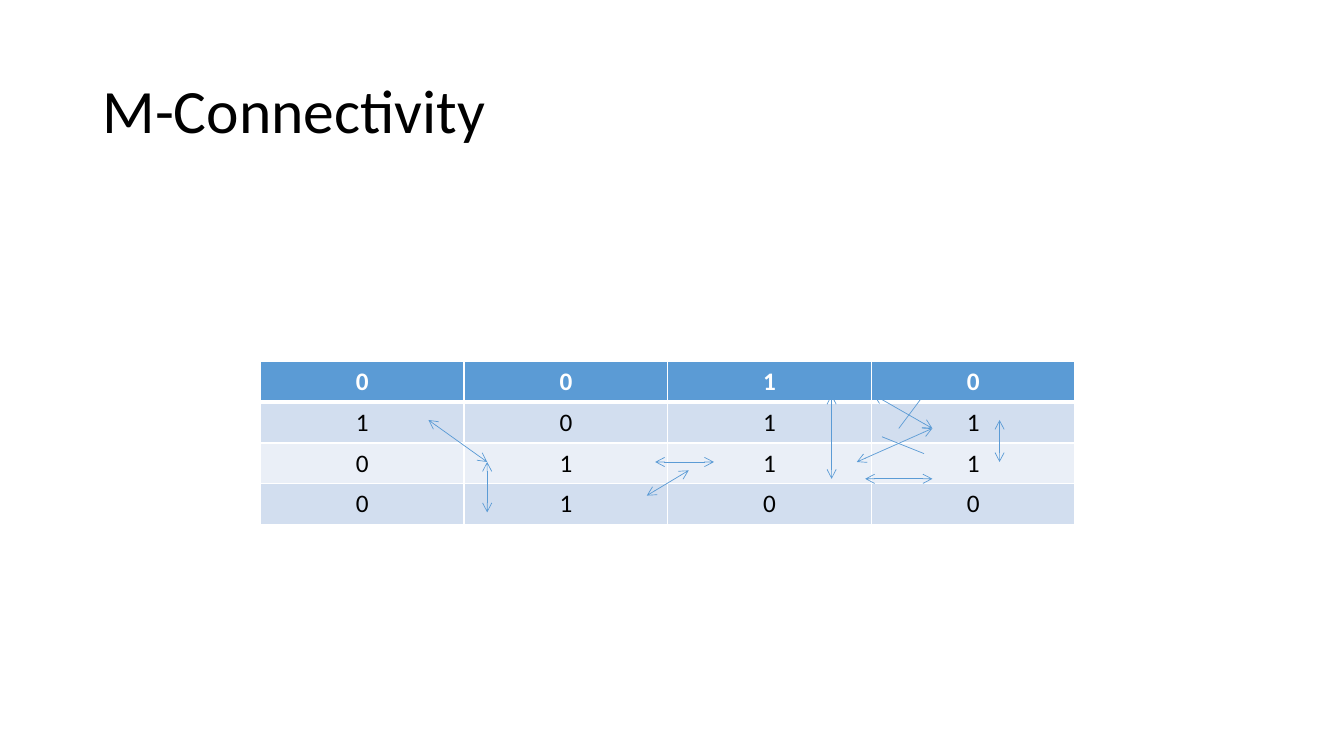
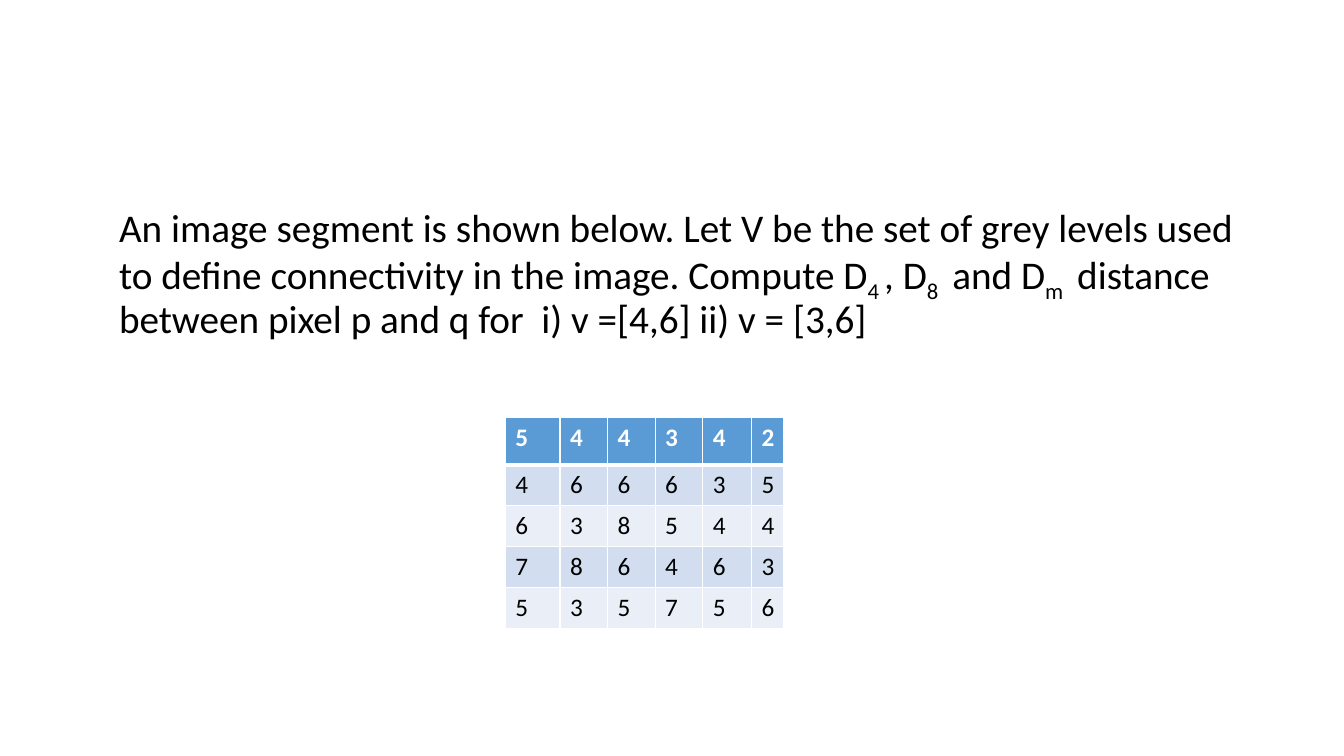
import dataclasses

import lxml.etree
import pptx
import pptx.dml.color
import pptx.enum.shapes
import pptx.enum.text
import pptx.oxml
import pptx.oxml.ns
import pptx.util

Pt = pptx.util.Pt
RGB = pptx.dml.color.RGBColor.from_string
qn = pptx.oxml.ns.qn
ALIGN = pptx.enum.text.PP_ALIGN
ANCHOR = pptx.enum.text.MSO_ANCHOR


@dataclasses.dataclass(frozen=True)
class Theme:
    """Colours, font and sizes shared by all slides."""
    accent: str = "5B9BD5"
    bands: tuple = ("D2DEEF", "EAEFF7")
    dark: str = "000000"
    light: str = "FFFFFF"
    font: str = "Calibri"
    title: int = 44
    body: int = 28
    cell: int = 18
    spacing: float = 0.9
    grid: float = 1
    header_rule: float = 3
    arrow: float = 0.5


THEME = Theme()
TITLE_BOX = (66, 29, 828, 104)
QUESTION_BOX = (78, 145.5, 828, 343)
ROW = 29.2

CONNECTIVITY = ("0010", "1011", "0111", "0100")
LINKS = (
    (120, 42, 162, 72), (162, 72, 162, 108), (282, 72, 324, 72),
    (408, 24, 408, 84), (528, 42, 528, 72), (432, 84, 480, 84),
    (438, 24, 480, 48), (276, 96, 306, 78), (426, 72, 480, 48),
)
CROSSINGS = ((474, 24, 456, 48), (444, 54, 474, 66))

SEGMENT = ("544342", "466635", "638544", "786463", "535756")
QUESTION = (
    ("An image segment is shown below. Let V be the set of grey levels used "
     "to define connectivity in the image. Compute D", False),
    ("4 ", True), (", D", False), ("8 ", True), (" and D", False), ("m ", True),
    (" distance between pixel p and q for  i) v =[4,6] ii) v = [3,6]", False),
)


def write(tf, text, size, color=THEME.dark, bold=False, align=ALIGN.LEFT,
          spacing=None):
    """Write a string, or (text, subscript) pairs, as one paragraph."""
    p = tf.paragraphs[0]
    p.alignment = align
    if spacing:
        p.line_spacing = spacing
    p.space_before = Pt(0)
    for part, subscript in [(text, False)] if isinstance(text, str) else text:
        r = p.add_run()
        r.text = part
        r.font.name = THEME.font
        r.font.size = Pt(size)
        r.font.bold = bold
        r.font.color.rgb = RGB(color)
        if subscript:
            r.font._element.set("baseline", "-25000")


def set_borders(cell, bottom):
    """Give a cell light borders with its own bottom width."""
    tcPr = cell._tc.get_or_add_tcPr()
    for side, width in zip("LRTB", (THEME.grid,) * 3 + (bottom,)):
        ln = lxml.etree.SubElement(tcPr, qn("a:ln" + side), w=str(Pt(width)))
        fill = lxml.etree.SubElement(ln, qn("a:solidFill"))
        lxml.etree.SubElement(fill, qn("a:srgbClr"), val=THEME.light)


def add_matrix(s, box, rows, widths, heights, align=ALIGN.LEFT):
    """Place a pixel matrix with a header row and banded rows."""
    left, top = box
    table = s.shapes.add_table(
        len(rows), len(widths), Pt(left), Pt(top),
        Pt(sum(widths)), Pt(sum(heights))).table
    table.first_row = table.horz_banding = False
    for column, width in zip(table.columns, widths):
        column.width = Pt(width)
    for i, (row, height) in enumerate(zip(rows, heights)):
        table.rows[i].height = Pt(height)
        header = i == 0
        fill = THEME.accent if header else THEME.bands[(i - 1) % 2]
        for j, value in enumerate(row):
            cell = table.cell(i, j)
            set_borders(cell, THEME.header_rule if header else THEME.grid)
            cell.fill.solid()
            cell.fill.fore_color.rgb = RGB(fill)
            write(cell.text_frame, value, THEME.cell, bold=header, align=align,
                  color=THEME.light if header else THEME.dark)


def add_links(s, box, links, arrows=True):
    """Draw lines between pixels, measured from the corner of the matrix."""
    left, top = box
    for x1, y1, x2, y2 in links:
        link = s.shapes.add_connector(
            pptx.enum.shapes.MSO_CONNECTOR.STRAIGHT,
            Pt(left + x1), Pt(top + y1), Pt(left + x2), Pt(top + y2))
        link.line.color.rgb = RGB(THEME.accent)
        link.line.width = Pt(THEME.arrow)
        if arrows:
            ln = link.line._get_or_add_ln()
            for end in ("a:headEnd", "a:tailEnd"):
                lxml.etree.SubElement(ln, qn(end), type="arrow")
        lxml.etree.SubElement(link._element.spPr, qn("a:effectLst"))


def add_title(s, box, text):
    """Move and format the title placeholder."""
    sp = s.shapes.title
    sp.left, sp.top, sp.width, sp.height = map(Pt, box)
    tf = sp.text_frame
    tf.auto_size = pptx.enum.text.MSO_AUTO_SIZE.NONE
    tf.vertical_anchor = ANCHOR.MIDDLE
    write(tf, text, THEME.title, spacing=THEME.spacing)


def add_question(s, box, text):
    """Place the wrapped text of the exercise."""
    tf = s.shapes.add_textbox(*map(Pt, box)).text_frame
    tf.word_wrap = True
    write(tf, text, THEME.body, spacing=THEME.spacing)


def connectivity_slide(prs):
    """Build the titled slide with linked pixels."""
    s = prs.slides.add_slide(prs.slide_layouts.get_by_name("Title Only"))
    add_title(s, TITLE_BOX, "M-Connectivity")
    corner = (186, 258)
    add_matrix(s, corner, CONNECTIVITY, [145.5] * 4, [ROW] * 4, ALIGN.CENTER)
    add_links(s, corner, LINKS)
    add_links(s, corner, CROSSINGS, arrows=False)


def distance_slide(prs):
    """Build the exercise slide with its image segment."""
    s = prs.slides.add_slide(prs.slide_layouts.get_by_name("Blank"))
    add_question(s, QUESTION_BOX, QUESTION)
    add_matrix(s, (361, 298), SEGMENT, [39, 34, 34, 34, 35, 22.5],
               [34] + [ROW] * 4)


def main():
    """Build and save the presentation."""
    prs = pptx.Presentation()
    prs.slide_width, prs.slide_height = Pt(960), Pt(540)
    connectivity_slide(prs)
    distance_slide(prs)
    prs.save("out.pptx")


if __name__ == "__main__":
    main()
